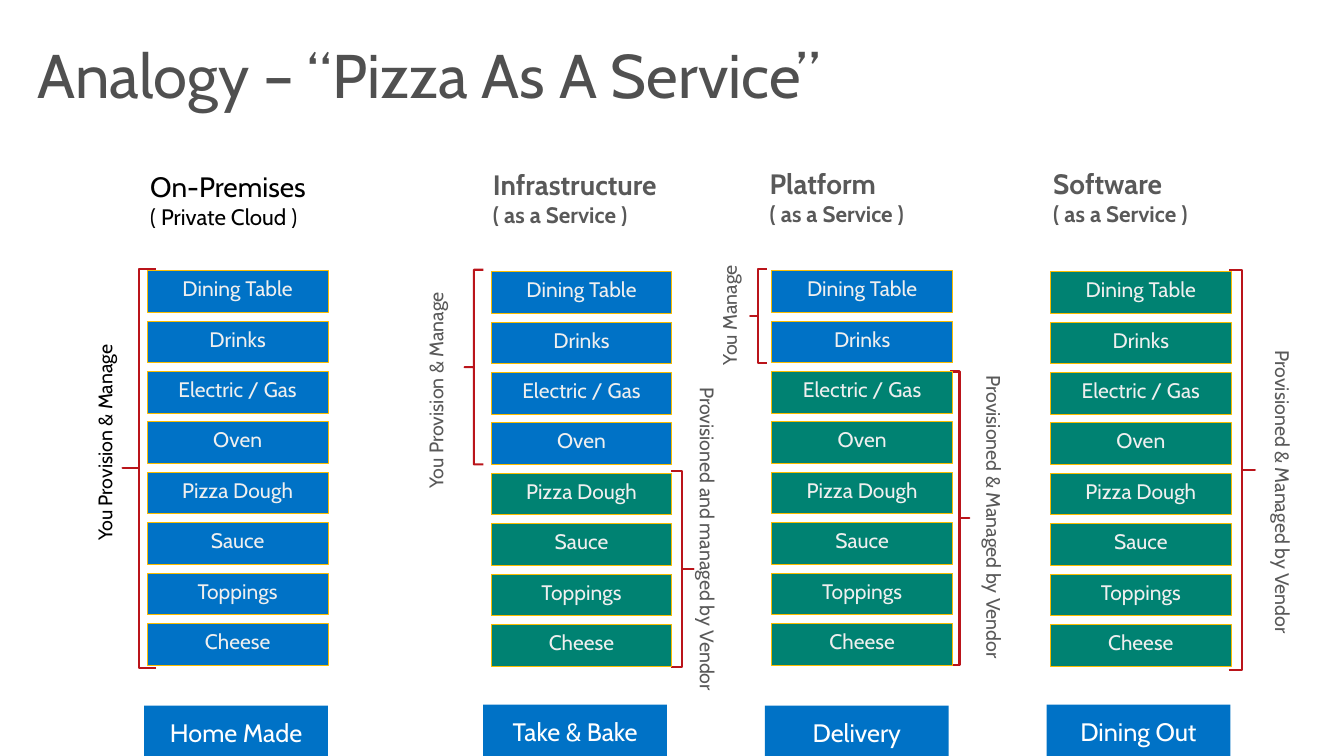
from dataclasses import dataclass
from typing import Optional

from pptx import Presentation
from pptx.dml.color import RGBColor
from pptx.enum.shapes import MSO_SHAPE
from pptx.enum.text import MSO_ANCHOR, MSO_AUTO_SIZE, PP_ALIGN
from pptx.util import Emu, Pt

PX = 9144  # 100 px to the inch


@dataclass(frozen=True)
class Theme:
    font: str = "Cabin"
    title: str = "505050"
    black: str = "000000"
    grey: str = "595959"
    white: str = "FFFFFF"
    layer_text: str = "EFEFEF"
    own: str = "0072C6"
    vendor: str = "008272"
    gold: str = "F9BC00"
    red: str = "BA141A"
    title_size: float = 44.9
    heading_size: float = 20.4
    subheading_size: float = 16.3
    layer_size: float = 15.3
    label_size: float = 14.3
    tag_size: float = 18.4
    layer_line: float = 0.75
    brace_line: float = 1.5


@dataclass(frozen=True)
class Box:
    left: int
    top: int
    width: int
    height: int

    def emu(self) -> tuple:
        return tuple(Emu(n * PX) for n in (self.left, self.top, self.width, self.height))


@dataclass(frozen=True)
class Bracket:
    text: str
    brace: Box
    label: Box
    by_vendor: bool = False


@dataclass(frozen=True)
class ServiceModel:
    name: str
    subtitle: str
    heading: Box
    stack_left: int
    stack_top: int
    own_layers: int
    tag: str
    tag_left: int
    tag_top: int
    brackets: tuple
    heading_inset: int = 10
    bold: bool = True
    color: str = Theme.grey


THEME = Theme()
LAYERS = ("Dining Table", "Drinks", "Electric / Gas", "Oven",
          "Pizza Dough", "Sauce", "Toppings", "Cheese")
LAYER_WIDTH, LAYER_HEIGHT, LAYER_PITCH = 183, 42, 51
TAG_WIDTH, TAG_HEIGHT = 186, 54
YOU = "You Provision & Manage"
VENDOR = "Provisioned & Managed by Vendor"

MODELS = (
    ServiceModel("On-Premises", "( Private Cloud )", Box(152, 172, 208, 71),
                 149, 274, 8, "Home Made", 146, 714,
                 (Bracket(YOU, Box(124, 272, 34, 404), Box(89, 341, 44, 214)),),
                 heading_inset=0, bold=False, color=THEME.black),
    ServiceModel("Infrastructure", "( as a Service )", Box(489, 169, 235, 71),
                 497, 275, 4, "Take & Bake", 489, 713,
                 (Bracket(YOU, Box(470, 273, 19, 197), Box(424, 288, 44, 214)),
                  Bracket("Provisioned and managed by Vendor",
                          Box(679, 477, 23, 198), Box(689, 382, 44, 320), True))),
    ServiceModel("Platform", "( as a Service )", Box(769, 168, 223, 71),
                 781, 274, 2, "Delivery", 774, 714,
                 (Bracket("You Manage", Box(759, 272, 17, 95), Box(721, 262, 44, 114)),
                  Bracket(VENDOR, Box(961, 376, 20, 297), Box(979, 370, 44, 302), True))),
    ServiceModel("Software", "( as a Service )", Box(1056, 168, 226, 71),
                 1063, 275, 0, "Dining Out", 1059, 713,
                 (Bracket(VENDOR, Box(1244, 273, 26, 405), Box(1271, 345, 44, 302), True),)),
)


def write(paragraph, text: str, *, size: float, color: str, bold: bool = False,
          align=PP_ALIGN.LEFT) -> None:
    paragraph.alignment = align
    run = paragraph.add_run()
    run.text = text
    run.font.name = THEME.font
    run.font.size = Pt(size)
    run.font.bold = bold
    run.font.color.rgb = RGBColor.from_string(color)


def set_frame(frame, *, side: int = 10, end: int = 5, anchor=MSO_ANCHOR.TOP,
              wrap: bool = True) -> None:
    frame.margin_left = frame.margin_right = Emu(side * PX)
    frame.margin_top = frame.margin_bottom = Emu(end * PX)
    frame.vertical_anchor = anchor
    frame.word_wrap = wrap


def add_title(slide, text: str) -> None:
    title = slide.shapes.title
    title.left, title.top, title.width, title.height = Box(28, 6, 959, 147).emu()
    set_frame(title.text_frame, anchor=MSO_ANCHOR.MIDDLE)
    title.text_frame.auto_size = MSO_AUTO_SIZE.NONE
    paragraph = title.text_frame.paragraphs[0]
    paragraph.line_spacing = 0.9
    write(paragraph, text, size=THEME.title_size, color=THEME.title)


def add_heading(slide, model: ServiceModel) -> None:
    frame = slide.shapes.add_textbox(*model.heading.emu()).text_frame
    set_frame(frame, side=model.heading_inset, end=0)
    write(frame.paragraphs[0], model.name, size=THEME.heading_size,
          color=model.color, bold=model.bold)
    write(frame.add_paragraph(), model.subtitle, size=THEME.subheading_size,
          color=model.color, bold=model.bold)


def add_block(slide, box: Box, text: str, *, fill: str, size: float, color: str,
              anchor, line: Optional[str] = None) -> None:
    shape = slide.shapes.add_shape(MSO_SHAPE.RECTANGLE, *box.emu())
    shape.shadow.inherit = False
    shape.fill.solid()
    shape.fill.fore_color.rgb = RGBColor.from_string(fill)
    if line:
        shape.line.color.rgb = RGBColor.from_string(line)
        shape.line.width = Pt(THEME.layer_line)
    else:
        shape.line.fill.background()
    set_frame(shape.text_frame, anchor=anchor)
    write(shape.text_frame.paragraphs[0], text, size=size, color=color,
          align=PP_ALIGN.CENTER)


def add_bracket(slide, bracket: Bracket, color: str) -> None:
    brace = slide.shapes.add_shape(MSO_SHAPE.LEFT_BRACE, *bracket.brace.emu())
    brace.shadow.inherit = False
    brace.adjustments[0] = 0
    brace.adjustments[1] = 0.5
    brace.fill.background()
    brace.line.color.rgb = RGBColor.from_string(THEME.red)
    brace.line.width = Pt(THEME.brace_line)
    if bracket.by_vendor:
        brace.element.spPr.xfrm.set("flipH", "1")

    # Sideways label
    frame = slide.shapes.add_textbox(*bracket.label.emu()).text_frame
    set_frame(frame, wrap=False)
    frame.auto_size = MSO_AUTO_SIZE.SHAPE_TO_FIT_TEXT
    frame._txBody.bodyPr.set("vert", "eaVert" if bracket.by_vendor else "vert270")
    write(frame.paragraphs[0], bracket.text, size=THEME.label_size, color=color,
          align=PP_ALIGN.CENTER)


def add_model(slide, model: ServiceModel) -> None:
    add_heading(slide, model)
    for bracket in model.brackets:
        add_bracket(slide, bracket, model.color)
    # Stack of layers: the customer's first, then the vendor's
    for row, layer in enumerate(LAYERS):
        box = Box(model.stack_left, model.stack_top + row * LAYER_PITCH,
                  LAYER_WIDTH, LAYER_HEIGHT)
        add_block(slide, box, layer,
                  fill=THEME.own if row < model.own_layers else THEME.vendor,
                  size=THEME.layer_size, color=THEME.layer_text,
                  anchor=MSO_ANCHOR.TOP, line=THEME.gold)
    # Pizza equivalent
    add_block(slide, Box(model.tag_left, model.tag_top, TAG_WIDTH, TAG_HEIGHT),
              model.tag, fill=THEME.own, size=THEME.tag_size, color=THEME.white,
              anchor=MSO_ANCHOR.MIDDLE)


def main() -> None:
    presentation = Presentation()
    presentation.slide_width = Emu(1360 * PX)
    presentation.slide_height = Emu(765 * PX)
    slide = presentation.slides.add_slide(presentation.slide_layouts[5])
    add_title(slide, "Analogy – “Pizza As A Service”")
    for model in MODELS:
        add_model(slide, model)
    presentation.save("out.pptx")


if __name__ == "__main__":
    main()
